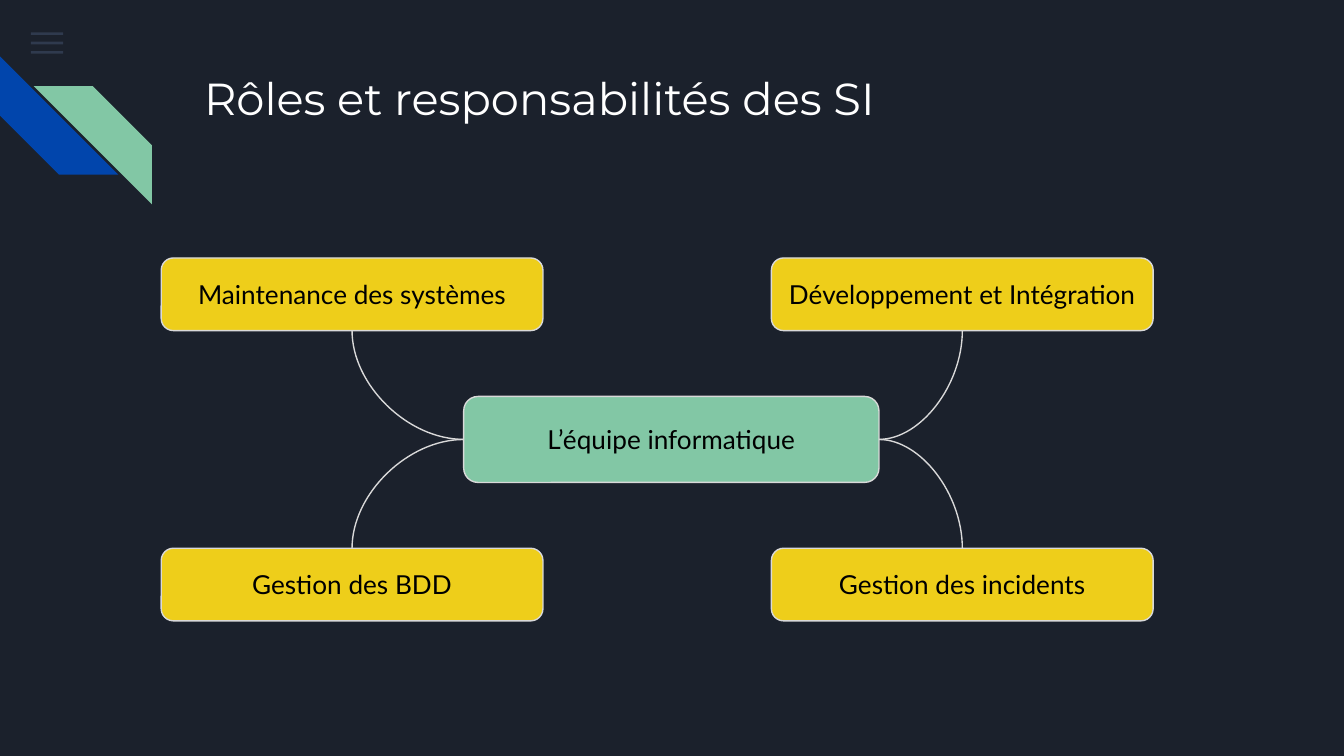
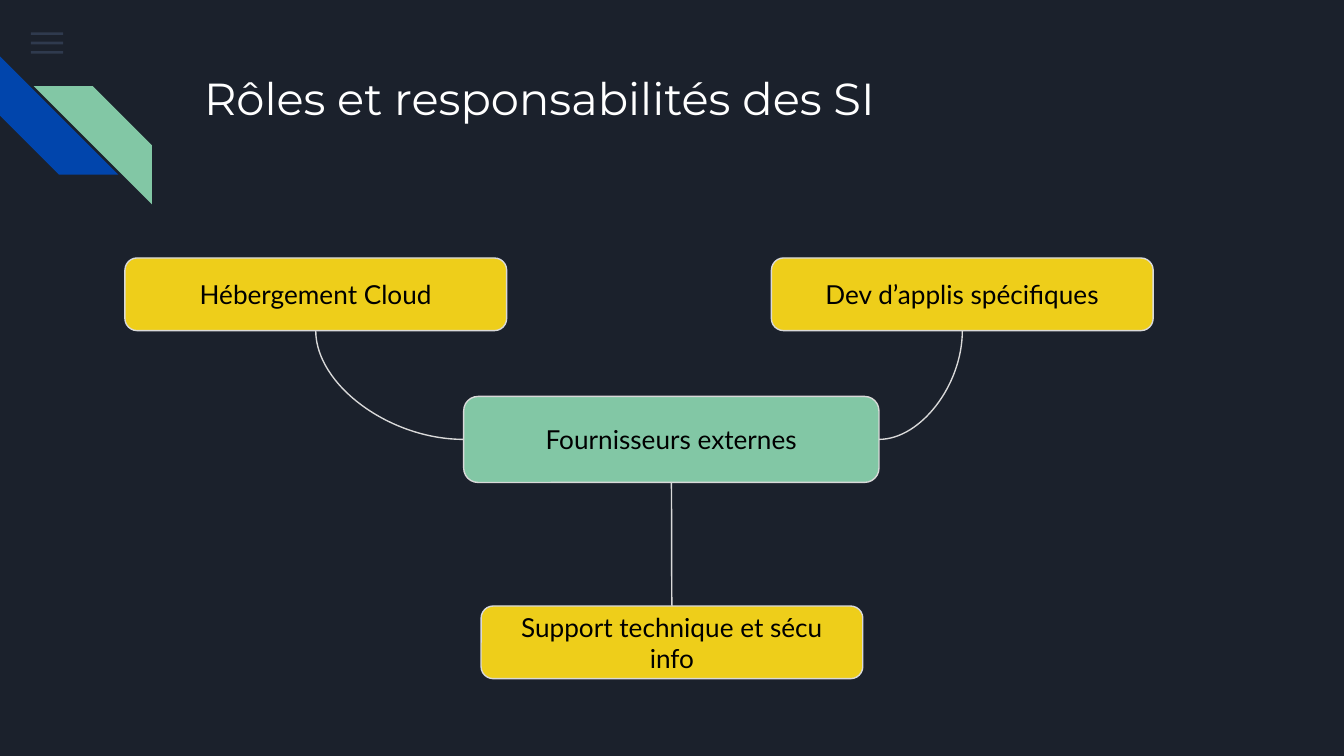
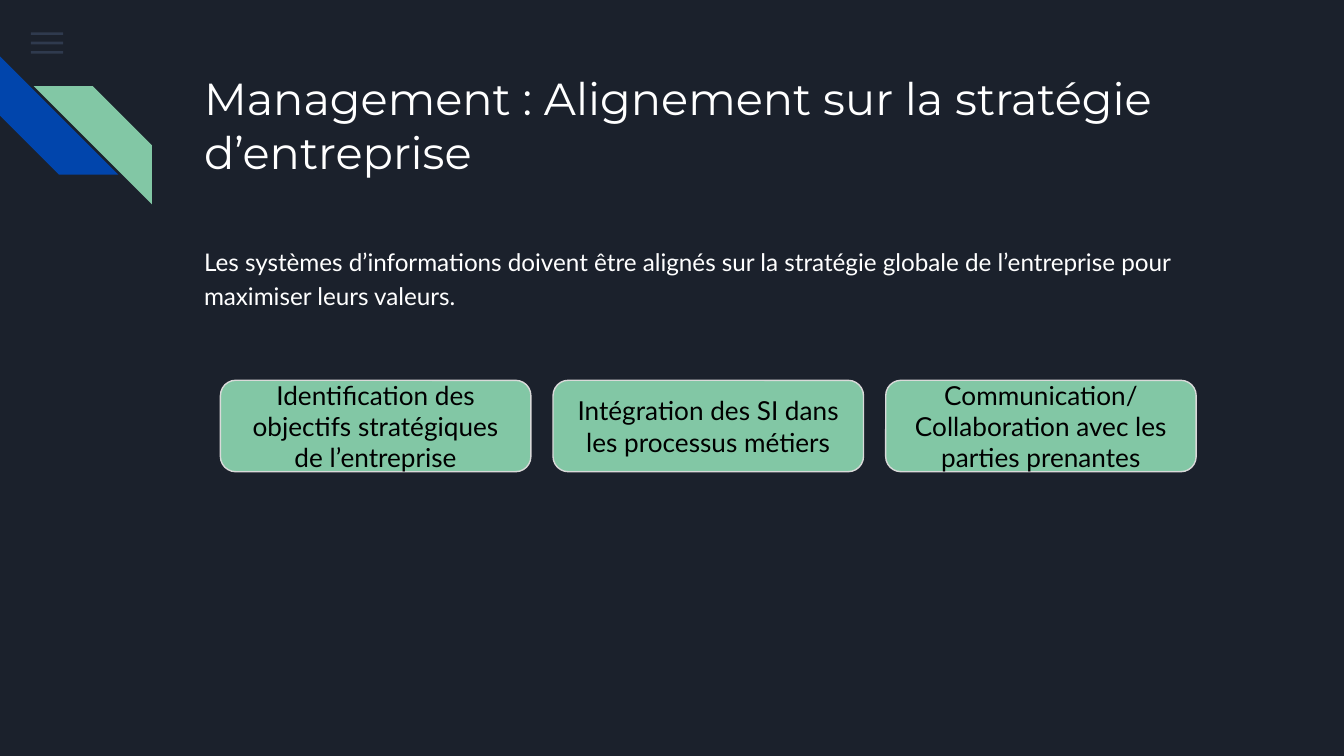
from lxml.etree import SubElement
from pptx import Presentation
from pptx.dml.color import RGBColor
from pptx.enum.shapes import MSO_CONNECTOR as Link, MSO_SHAPE as Shape
from pptx.enum.text import MSO_ANCHOR as Anchor, PP_ALIGN as Align
from pptx.oxml.ns import qn
from pptx.util import Inches, Pt

COLORS = {
    "night": "1B212C",
    "menu": "55688B",
    "blue": "0145AC",
    "green": "82C7A5",
    "yellow": "EECE1A",
    "outline": "D9D9D9",
    "white": "FFFFFF",
    "black": "000000",
}
TITLE_FONT, BODY_FONT = "Montserrat", "Lato"
TOP, LEFT, BOTTOM, RIGHT = range(4)
HUB_SIZE = (3.09, 0.64)
LEAF_SIZE = (2.84, 0.54)
ROLES_TITLE = "Rôles et responsabilités des SI"


def color(name):
    return RGBColor.from_string(COLORS[name])


def add_filled(page, kind, box, fill):
    shape = page.shapes.add_shape(kind, *map(Inches, box))
    shape.shadow.inherit = False
    shape.fill.solid()
    shape.fill.fore_color.rgb = color(fill)
    shape.line.fill.background()
    return shape


def write(shape, text, size, font, ink, align=Align.LEFT, anchor=Anchor.TOP):
    frame = shape.text_frame
    frame.word_wrap = True
    frame.vertical_anchor = anchor
    frame.margin_left = frame.margin_right = Inches(0.1)
    frame.margin_top = frame.margin_bottom = Inches(0.1)
    frame.text = text
    para = frame.paragraphs[0]
    para.alignment = align
    span = para.runs[0]
    span.font.size = Pt(size)
    span.font.name = font
    span.font.color.rgb = color(ink)
    return para


def add_text(page, box, *style):
    return write(page.shapes.add_textbox(*map(Inches, box)), *style)


def set_outline(line):
    line.color.rgb = color("outline")
    line.width = Pt(0.75)


def add_node(page, box, text, fill):
    node = add_filled(page, Shape.ROUNDED_RECTANGLE, box, fill)
    set_outline(node.line)
    write(node, text, 14, BODY_FONT, "black", Align.CENTER, Anchor.MIDDLE)
    return node


def add_link(page, hub, hub_side, leaf, leaf_side):
    link = page.shapes.add_connector(Link.CURVE, 0, 0, 0, 0)
    link.begin_connect(hub, hub_side)
    link.end_connect(leaf, leaf_side)
    set_outline(link.line)
    properties = link._element.spPr
    if hub_side in (LEFT, RIGHT):
        properties.find(qn("a:prstGeom")).set("prst", "curvedConnector2")
    SubElement(properties, qn("a:effectLst"))


def draw_menu(page, left, top):
    for row in range(3):
        bar = add_filled(page, Shape.RECTANGLE, (left, top + row * 0.07, 0.24, 0.02), "menu")
        tint = bar._element.spPr.find(qn("a:solidFill"))[0]
        SubElement(tint, qn("a:alpha")).set("val", "36000")


def draw_stripes(page, left, top):
    side = 0.88
    blue = add_filled(page, Shape.DIAGONAL_STRIPE, (left, top, side, side), "blue")
    blue.rotation = 270
    green = add_filled(page, Shape.DIAGONAL_STRIPE, (left + 0.25, top + 0.22, side, side), "green")
    green._element.spPr.find(qn("a:xfrm")).set("flipH", "1")


def start_page(deck, title):
    page = deck.slides.add_slide(deck.slide_layouts[6])
    page.background.fill.solid()
    page.background.fill.fore_color.rgb = color("night")
    draw_menu(page, 0.23, 0.24)
    draw_stripes(page, 0, 0.42)
    add_text(page, (1.42, 0.43, 7.7, 1), title, 24, TITLE_FONT, "white")
    return page


def draw_hub_map(page, left, top, hub_text, leaves):
    hub = add_node(page, (left + 2.52, top + 1.03, *HUB_SIZE), hub_text, "green")
    nodes = [
        add_node(page, (left + across, top + down, *LEAF_SIZE), text, "yellow")
        for text, across, down, *_ in leaves
    ]
    for node, (*_, hub_side, leaf_side) in zip(nodes, leaves):
        add_link(page, hub, hub_side, node, leaf_side)


def draw_steps(page, left, top, width, steps):
    step_width = 2.31
    pitch = (width - step_width) / (len(steps) - 1)
    for column, text in enumerate(steps):
        add_node(page, (left + column * pitch, top, step_width, 0.68), text, "green")


def build_team(deck):
    page = start_page(deck, ROLES_TITLE)
    draw_hub_map(page, 0.93, 1.92, "L’équipe informatique", [
        ("Maintenance des systèmes", 0.27, 0, LEFT, BOTTOM),
        ("Développement et Intégration", 4.81, 0, RIGHT, BOTTOM),
        ("Gestion des BDD", 0.27, 2.16, LEFT, TOP),
        ("Gestion des incidents", 4.81, 2.16, RIGHT, TOP),
    ])


def build_suppliers(deck):
    page = start_page(deck, ROLES_TITLE)
    draw_hub_map(page, 0.93, 1.92, "Fournisseurs externes", [
        ("Hébergement Cloud", 0, 0, LEFT, BOTTOM),
        ("Dev d’applis spécifiques", 4.81, 0, RIGHT, BOTTOM),
        ("Support technique et sécu info", 2.65, 2.59, BOTTOM, TOP),
    ])


def build_alignment(deck):
    page = start_page(deck, "Management : Alignement sur la stratégie d’entreprise")
    para = add_text(
        page, (1.42, 1.71, 7.7, 0.73),
        "Les systèmes d’informations doivent être alignés sur la stratégie globale "
        "de l’entreprise pour maximiser leurs valeurs.",
        13, BODY_FONT, "white",
    )
    para.line_spacing = 1.15
    para.space_after = Pt(16)
    draw_steps(page, 1.64, 2.83, 7.26, [
        "Identification des objectifs stratégiques de l’entreprise",
        "Intégration des SI dans les processus métiers",
        "Communication/Collaboration avec les parties prenantes",
    ])


def main():
    deck = Presentation()
    deck.slide_width = Inches(10)
    deck.slide_height = Inches(10) * 9 // 16
    build_team(deck)
    build_suppliers(deck)
    build_alignment(deck)
    deck.save("out.pptx")


if __name__ == "__main__":
    main()
